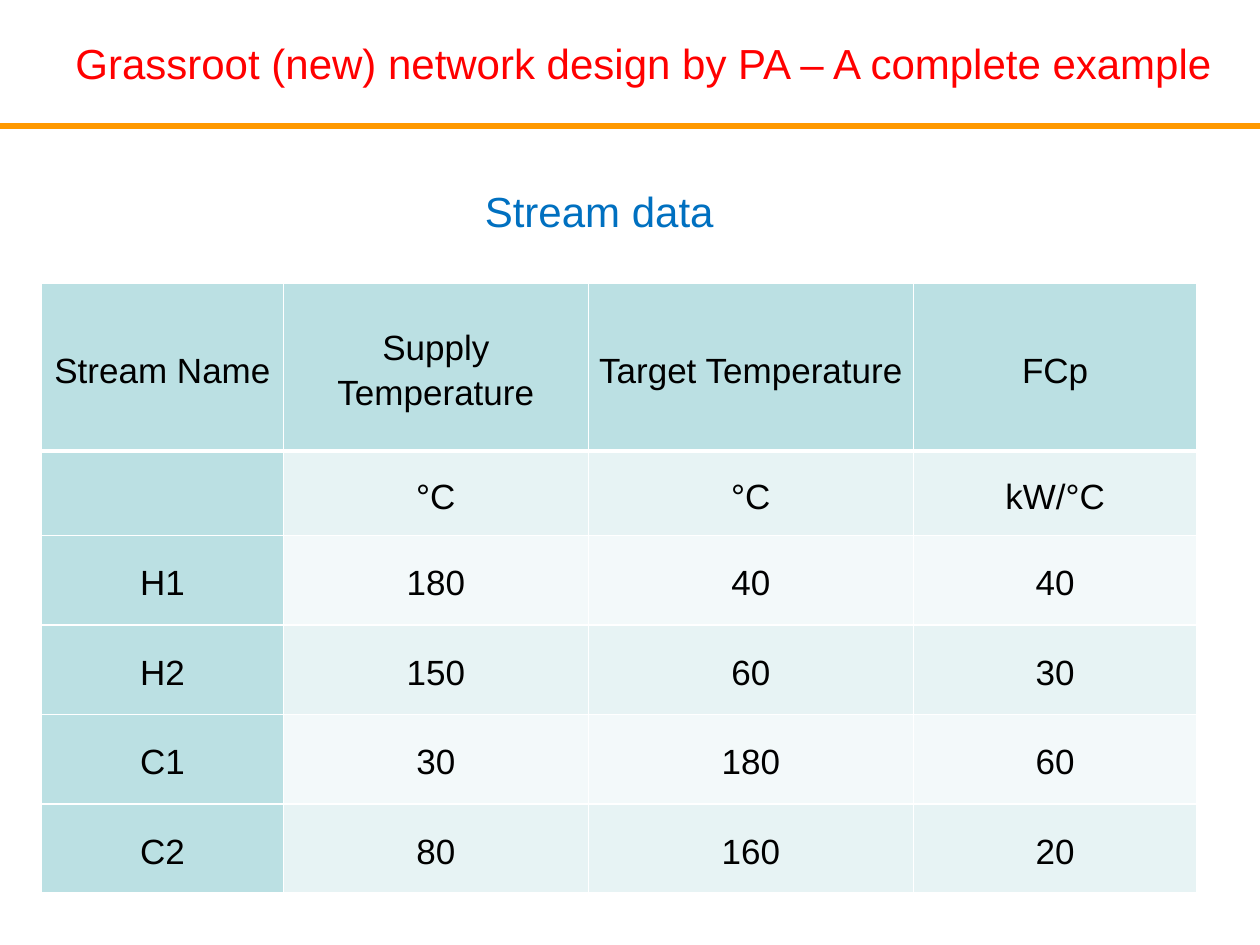
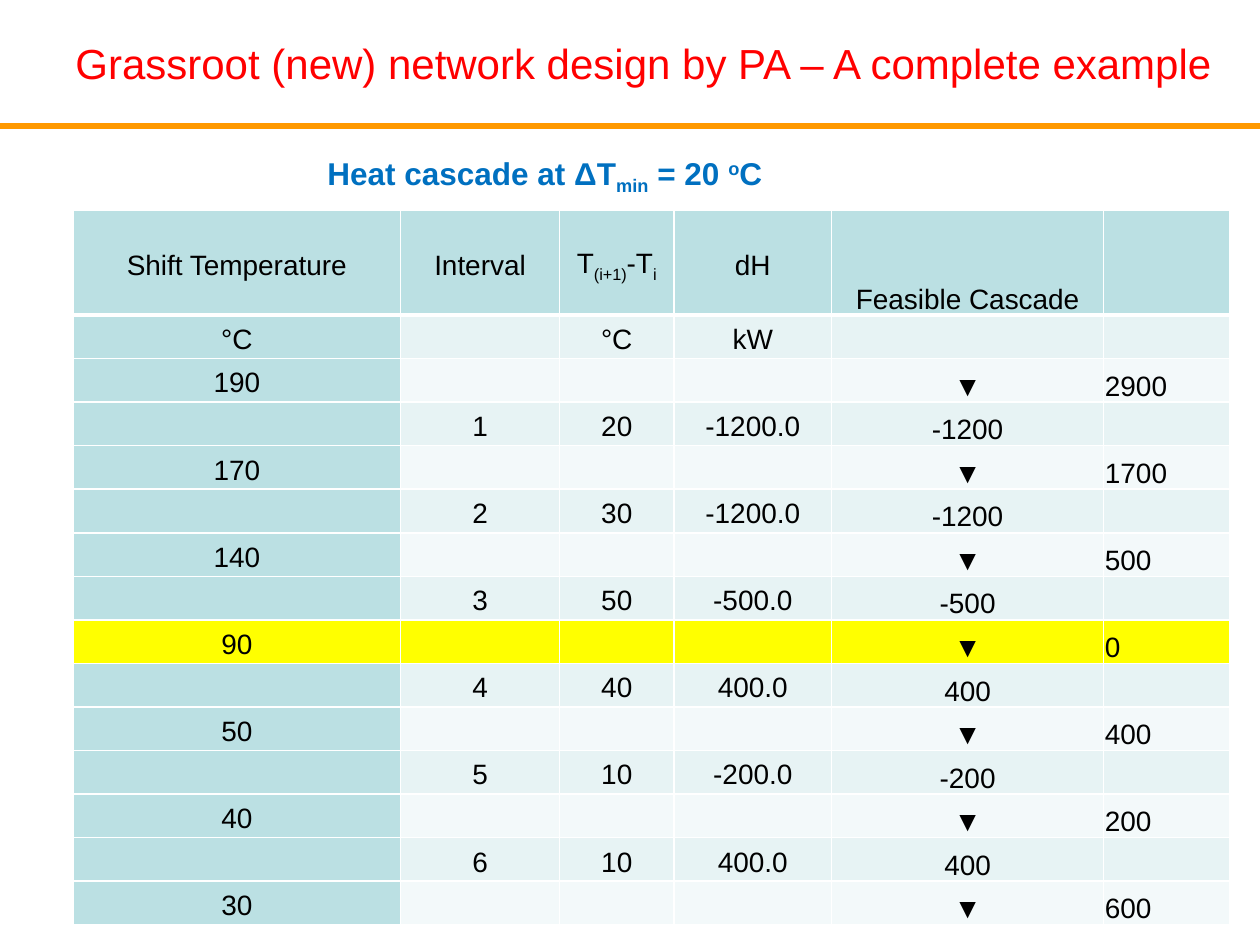
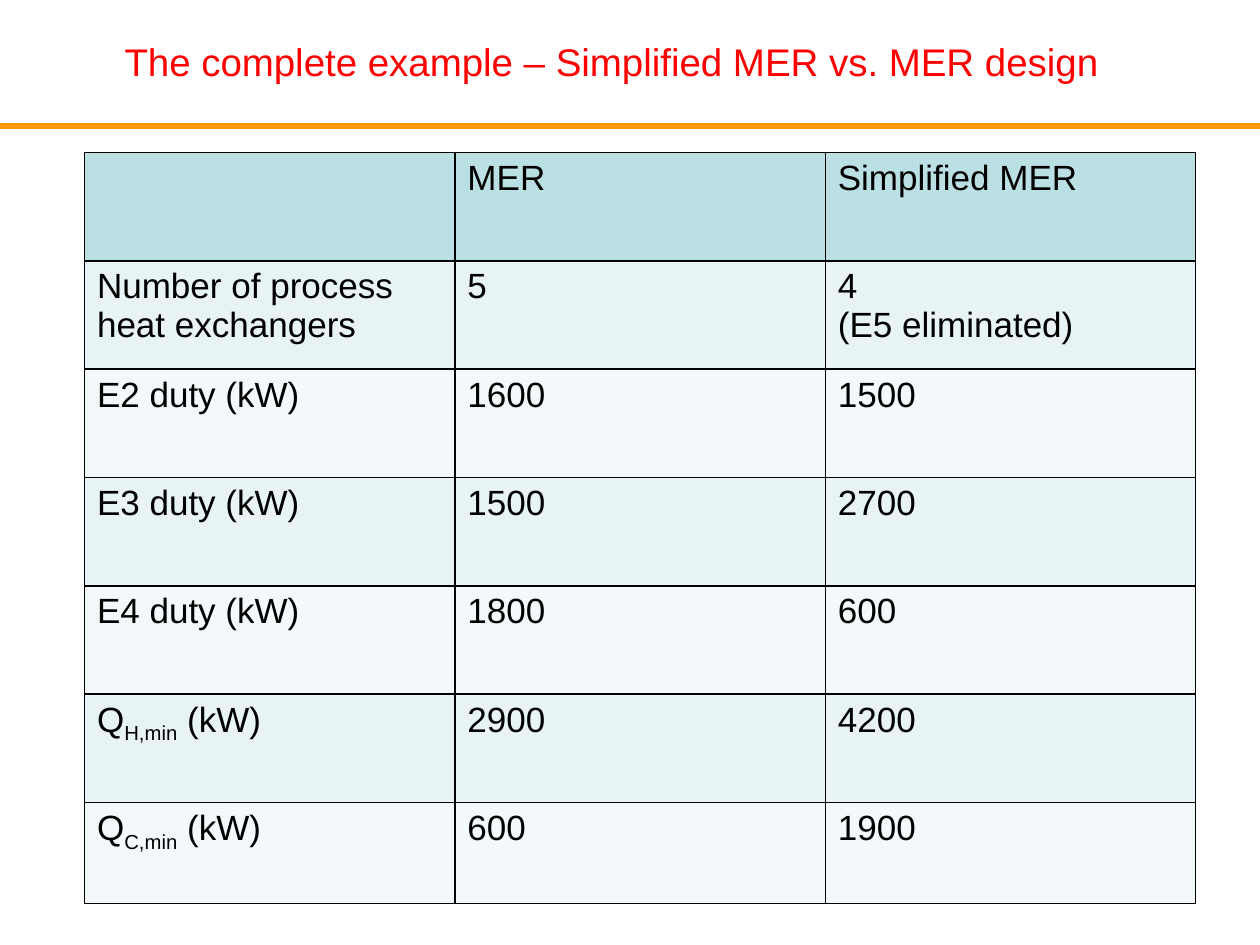
from lxml import etree
from pptx import Presentation
from pptx.dml.color import RGBColor
from pptx.enum.shapes import MSO_CONNECTOR
from pptx.enum.text import MSO_ANCHOR, MSO_AUTO_SIZE, PP_ALIGN
from pptx.oxml.ns import qn
from pptx.util import Inches, Pt

STRAIGHT = MSO_CONNECTOR.STRAIGHT
MIDDLE, BOTTOM = MSO_ANCHOR.MIDDLE, MSO_ANCHOR.BOTTOM
CENTER, LEFT = PP_ALIGN.CENTER, PP_ALIGN.LEFT
FIT_TEXT = MSO_AUTO_SIZE.SHAPE_TO_FIT_TEXT

RED = RGBColor(0xFF, 0x00, 0x00)
ORANGE = RGBColor(0xFF, 0x99, 0x00)
BLUE = RGBColor(0x00, 0x70, 0xC0)
BLACK = RGBColor(0x00, 0x00, 0x00)
WHITE = RGBColor(0xFF, 0xFF, 0xFF)
YELLOW = RGBColor(0xFF, 0xFF, 0x00)
TEAL = RGBColor(0xBB, 0xE0, 0xE3)
BANDS = [RGBColor(0xF3, 0xF9, 0xFA), RGBColor(0xE7, 0xF3, 0xF4)]

FONT = "Arial"
SUB, SUPER = -25, 30
DESIGN_TITLE = "Grassroot (new) network design by PA – A complete example"
TIGHT_MARGINS = {"margin_left": Inches(0.01), "margin_right": Inches(0.01),
                 "margin_top": Inches(0.01), "margin_bottom": 0}
TIGHT_SPACING = {"line_spacing": 1.15, "space_after": Pt(10)}

STREAMS = [
    ["Stream Name", "Supply Temperature", "Target Temperature", "FCp"],
    ["", "°C", "°C", "kW/°C"],
    ["H1", "180", "40", "40"],
    ["H2", "150", "60", "30"],
    ["C1", "30", "180", "60"],
    ["C2", "80", "160", "20"],
]
CASCADE_HEADER = [
    ["Shift Temperature", "Interval",
     [("T", 0), ("(i+1)", SUB), ("-T", 0), ("i", SUB)],
     "dH", "Feasible Cascade", ""],
    ["°C", "", "°C", "kW", "", ""],
]
SHIFT_LEVELS = [(190, 2900), (170, 1700), (140, 500), (90, 0),
                (50, 400), (40, 200), (30, 600)]
INTERVALS = [(20, -1200), (30, -1200), (50, -500), (40, 400), (10, -200), (10, 400)]
PINCH_ROW = 8
COMPARISON = [
    ["", "MER", "Simplified MER"],
    ["Number of process heat exchangers", "5", "4\n(E5 eliminated)"],
    ["E2 duty (kW)", "1600", "1500"],
    ["E3 duty (kW)", "1500", "2700"],
    ["E4 duty (kW)", "1800", "600"],
    [[("Q", 0), ("H,min", SUB), (" (kW)", 0)], "2900", "4200"],
    [[("Q", 0), ("C,min", SUB), (" (kW)", 0)], "600", "1900"],
]


def apply_format(target, values):
    for name, value in values.items():
        setattr(target, name, value)


def write_runs(paragraph, content, size, color, bold=False):
    pieces = [(content, 0)] if isinstance(content, str) else content
    for text, baseline in pieces:
        if not text:
            continue
        run = paragraph.add_run()
        run.text = text
        apply_format(run.font, {"name": FONT, "size": Pt(size), "bold": bold})
        run.font.color.rgb = color
        if baseline:
            run.font._element.set("baseline", str(baseline * 1000))


def add_label(slide, content, box, size, color, bold=False):
    frame = slide.shapes.add_textbox(*map(Inches, box)).text_frame
    apply_format(frame, {"word_wrap": False, "auto_size": FIT_TEXT})
    write_runs(frame.paragraphs[0], content, size, color, bold)


def add_rule(slide):
    rule = slide.shapes.add_connector(STRAIGHT, 0, Inches(1), Inches(10), Inches(1))
    rule.line.color.rgb = ORANGE
    rule.line.width = Pt(3)
    etree.SubElement(rule._element.spPr, qn("a:effectLst"))


def add_titled_slide(deck, title, box=(0.5, 0.25, 9.31, 0.5), size=24):
    slide = deck.slides.add_slide(deck.slide_layouts[6])
    add_rule(slide)
    add_label(slide, title, box, size, RED)
    return slide


def set_borders(cell, color, bottom):
    properties = cell._tc.get_or_add_tcPr()
    for side, points in (("L", 1), ("R", 1), ("T", 1), ("B", bottom)):
        edge = etree.SubElement(properties, qn(f"a:ln{side}"), w=str(Pt(points)))
        fill = etree.SubElement(edge, qn("a:solidFill"))
        etree.SubElement(fill, qn("a:srgbClr"), val=str(color))


def write_cell(cell, content, size, cell_format, paragraph_format):
    apply_format(cell, cell_format)
    lines = content.split("\n") if isinstance(content, str) else [content]
    for index, line in enumerate(lines):
        frame = cell.text_frame
        paragraph = frame.add_paragraph() if index else frame.paragraphs[0]
        apply_format(paragraph, paragraph_format)
        write_runs(paragraph, line, size, BLACK)


def add_grid(slide, rows, corner, widths, heights, size, border,
             header_bottom=1, teal_first_column=False, highlight=None,
             formats=lambda column: ({}, {})):
    grid = slide.shapes.add_table(
        len(rows), len(widths), *map(Inches, (*corner, sum(widths), sum(heights)))).table
    apply_format(grid, {"first_row": False, "horz_banding": False})
    for column, width in zip(grid.columns, widths):
        column.width = Inches(width)
    for r, (values, height) in enumerate(zip(rows, heights)):
        grid.rows[r].height = Inches(height)
        for c, content in enumerate(values):
            cell = grid.cell(r, c)
            set_borders(cell, border, 1 if r else header_bottom)
            write_cell(cell, content, size, *formats(c))
            is_teal = r == 0 or (teal_first_column and c == 0)
            cell.fill.solid()
            cell.fill.fore_color.rgb = (
                YELLOW if r == highlight else TEAL if is_teal else BANDS[r % 2])


def stream_formats(column):
    return ({"vertical_anchor": MIDDLE, **TIGHT_MARGINS},
            {"alignment": CENTER, **TIGHT_SPACING})


def cascade_formats(column):
    return ({"vertical_anchor": BOTTOM if column >= 4 else MIDDLE, **TIGHT_MARGINS},
            {"alignment": LEFT if column == 5 else CENTER, **TIGHT_SPACING})


def cascade_rows():
    rows = list(CASCADE_HEADER)
    for number, (temperature, flow) in enumerate(SHIFT_LEVELS):
        if number:
            step, heat = INTERVALS[number - 1]
            rows.append(["", str(number), str(step), f"{heat:.1f}", str(heat), ""])
        rows.append([str(temperature), "", "", "", "▼", str(flow)])
    return rows


def add_stream_slide(deck):
    slide = add_titled_slide(deck, DESIGN_TITLE)
    add_grid(slide, STREAMS, (0.33, 2.25), [1.92, 2.42, 2.58, 2.25],
             [1.33, 0.67] + [0.71] * 4, 20, WHITE, header_bottom=3,
             teal_first_column=True, formats=stream_formats)
    add_label(slide, "Stream data", (3.75, 1.42, 2.04, 0.5), 24, BLUE)


def add_cascade_slide(deck):
    slide = add_titled_slide(deck, DESIGN_TITLE)
    rows = cascade_rows()
    body_count = len(rows) - 1
    add_grid(slide, rows, (0.58, 1.67), [2.6, 1.26, 0.91, 1.25, 2.16, 1],
             [0.83] + [4.84 / body_count] * body_count, 16, WHITE, header_bottom=3,
             teal_first_column=True, highlight=PINCH_ROW, formats=cascade_formats)
    heading = [("Heat cascade at ΔT", 0), ("min", SUB), (" = 20 ", 0),
               ("o", SUPER), ("C", 0)]
    add_label(slide, heading, (2.5, 1.17, 3.71, 0.4), 18, BLUE, bold=True)


def add_comparison_slide(deck):
    slide = add_titled_slide(
        deck, "The complete example – Simplified MER vs. MER design",
        (0.89, 0.25, 8.03, 0.47), 22)
    add_grid(slide, COMPARISON, (0.67, 1.21), [2.94] * 3,
             [0.86] * 6 + [0.8], 20, BLACK)


def main():
    deck = Presentation()
    apply_format(deck, {"slide_width": Inches(10), "slide_height": Inches(7.5)})
    add_stream_slide(deck)
    add_cascade_slide(deck)
    add_comparison_slide(deck)
    deck.save("out.pptx")


if __name__ == "__main__":
    main()
